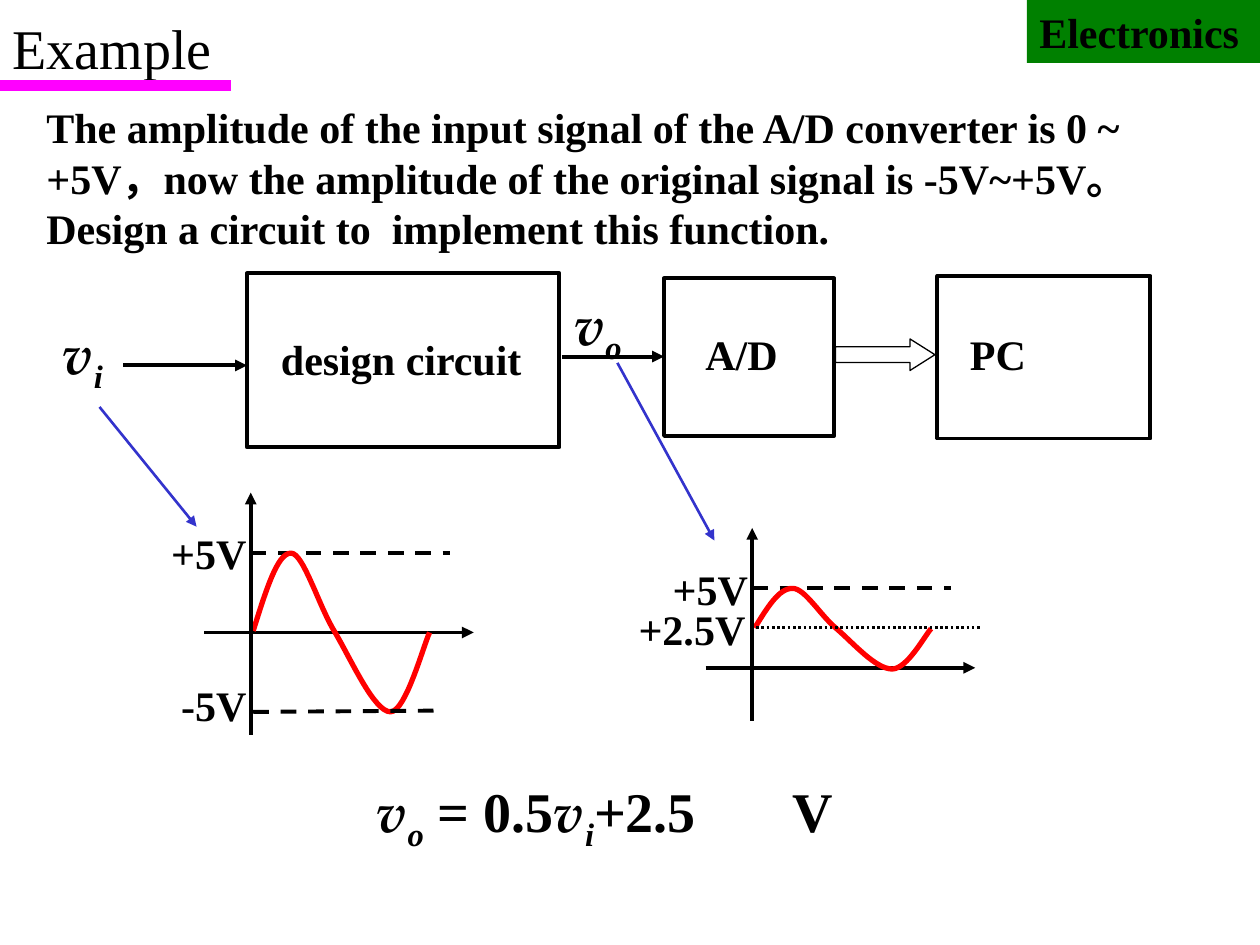
from lxml.etree import SubElement
from pptx import Presentation
from pptx.dml.color import RGBColor
from pptx.enum.dml import MSO_LINE as DASH
from pptx.enum.shapes import MSO_CONNECTOR as CONN, MSO_SHAPE as SHAPE
from pptx.enum.text import MSO_ANCHOR as ANCHOR, PP_ALIGN as ALIGN
from pptx.oxml.ns import qn
from pptx.util import Inches, Pt

rgb = RGBColor.from_string
prs = Presentation()
prs.slide_width, prs.slide_height = Inches(10), Inches(7.5)
s = prs.slides.add_slide(prs.slide_layouts[6])


def add_text(text, x, y, w, h, size=24, bold=True, align=ALIGN.LEFT,
             anchor=ANCHOR.TOP, tab=None):
    sp = s.shapes.add_textbox(*map(Inches, (x, y, w, h)))
    tf = sp.text_frame
    tf.word_wrap = True
    tf.vertical_anchor = anchor
    for i, runs in enumerate(text):
        p = tf.paragraphs[0] if i == 0 else tf.add_paragraph()
        p.alignment = align
        if tab:
            tabs = SubElement(p._p.get_or_add_pPr(), qn("a:tabLst"))
            SubElement(tabs, qn("a:tab"), pos=str(Inches(tab)), algn="l")
        for part, kind in [(runs, "")] if isinstance(runs, str) else runs:
            r = p.add_run()
            r.text = part
            r.font.size = Pt(size)
            r.font.bold = bold
            r.font.italic = kind in ("var", "sub")
            r.font.name = "TeX Gyre Pagella" if kind == "var" else "Times New Roman"
            r.font.color.rgb = rgb("000000")
            if kind == "sub":
                r.font._element.set("baseline", "-25000")
    return sp


def add_line(x1, y1, x2, y2, color="000000", width=2.25, dash=None, arrow=False):
    c = s.shapes.add_connector(CONN.STRAIGHT, *map(Inches, (x1, y1, x2, y2)))
    c.line.color.rgb = rgb(color)
    c.line.width = Pt(width)
    if dash:
        c.line.dash_style = dash
    if arrow:
        SubElement(c.line._get_or_add_ln(), qn("a:tailEnd"), type="triangle")
    SubElement(c._element.spPr, qn("a:effectLst"))


sp = add_text(["Electronics"], 8.15, 0, 1.85, 0.5)
sp.fill.solid()
sp.fill.fore_color.rgb = rgb("008000")
add_text(["Example"], 0, 0, 2.25, 0.75, size=32, bold=False, anchor=ANCHOR.MIDDLE)
add_line(0, 0.68, 1.83, 0.68, "FF00FF", 6)
add_text(["The amplitude of the input signal of the A/D converter is 0 ~",
          "+5V，now the amplitude of the original signal is -5V~+5V。",
          "Design a circuit to  implement this function."], 0.27, 0.76, 9.73, 1.3)

wave = [(0, 0.02), (0.1, 0.52), (0.19, 1), (0.3, 1), (0.4, 1), (0.52, 0.33),
        (0.65, 0), (0.78, -0.35), (0.96, -1), (1.09, -1), (1.21, -1),
        (1.35, -0.17), (1.4, 0)]
steps = 16
curve = [wave[0]]
for i in range(0, len(wave) - 1, 3):
    for n in range(1, steps + 1):
        t = n / steps
        weights = ((1 - t) ** 3, 3 * t * (1 - t) ** 2, 3 * t * t * (1 - t), t ** 3)
        curve.append(tuple(sum(k * pt[axis] for k, pt in zip(weights, wave[i:i + 4]))
                           for axis in (0, 1)))

for x, top, amp, axis_y, axis_top, axis_bottom in [
        (1.99, 4.39, 0.63, 5.02, 3.91, 5.83), (5.97, 4.67, 0.32, 5.3, 4.19, 5.72)]:
    add_line(x, top, x + 1.58, top, dash=DASH.DASH)
    add_line(x - 0.37, axis_y, x + 1.77, axis_y, arrow=True)
    points = [(Inches(x + 0.02 + dx), Inches(top + amp * (1 - dy))) for dx, dy in curve]
    fb = s.shapes.build_freeform(*points[0])
    fb.add_line_segments(points[1:], close=False)
    sp = fb.convert_to_shape()
    sp.shadow.inherit = False
    sp.fill.background()
    sp.line.color.rgb = rgb("FF0000")
    sp.line.width = Pt(3)
    add_line(x, axis_bottom, x, axis_top, arrow=True)
    add_text(["+5V"], x - 0.73, top - 0.25, 0.82, 0.5)

add_line(2.01, 5.65, 3.47, 5.64, dash=DASH.DASH)
add_text(["-5V"], 1.34, 5.34, 0.8, 0.5)
add_line(5.96, 4.98, 7.79, 4.98, width=1.5, dash=DASH.ROUND_DOT)
add_text(["+2.5V"], 4.97, 4.74, 1.1, 0.5)
add_line(0.79, 3.23, 1.56, 4.18, "3333CC", 1.5, arrow=True)
add_line(4.9, 2.88, 5.67, 4.29, "3333CC", 1.5, arrow=True)

for kind, width, *box in [
        (SHAPE.RECTANGLE, 2.25, 1.96, 2.17, 2.48, 1.38),
        (SHAPE.RECTANGLE, 2.25, 5.27, 2.21, 1.35, 1.25),
        (SHAPE.RECTANGLE, 2.25, 7.44, 2.19, 1.69, 1.29),
        (SHAPE.RIGHT_ARROW, 0.75, 6.63, 2.69, 0.79, 0.25)]:
    sp = s.shapes.add_shape(kind, *map(Inches, box))
    sp.shadow.inherit = False
    sp.fill.background()
    sp.line.color.rgb = rgb("000000")
    sp.line.width = Pt(width)
sp.adjustments[1] = 0.79

add_text(["design circuit"], 2.04, 2.6, 2.29, 0.5, align=ALIGN.CENTER)
add_text(["A/D"], 5.5, 2.56, 0.9, 0.5)
add_text(["PC"], 7.6, 2.56, 1.33, 0.5)
add_line(0.98, 2.9, 1.96, 2.9, arrow=True)
add_line(4.46, 2.83, 5.27, 2.83, arrow=True)

v_i = [("v", "var"), ("i", "sub")]
v_o = [("v", "var"), ("o", "sub")]
add_text([v_i], 0.4, 2.48, 0.6, 0.71, size=32)
add_text([v_o], 4.46, 2.25, 0.67, 0.71, size=32)
add_text([v_o + [(" = 0.5", "")] + v_i + [("+2.5\tV", "")]],
         2.89, 6.11, 4.33, 0.71, size=32, tab=3.3)

prs.save("out.pptx")
